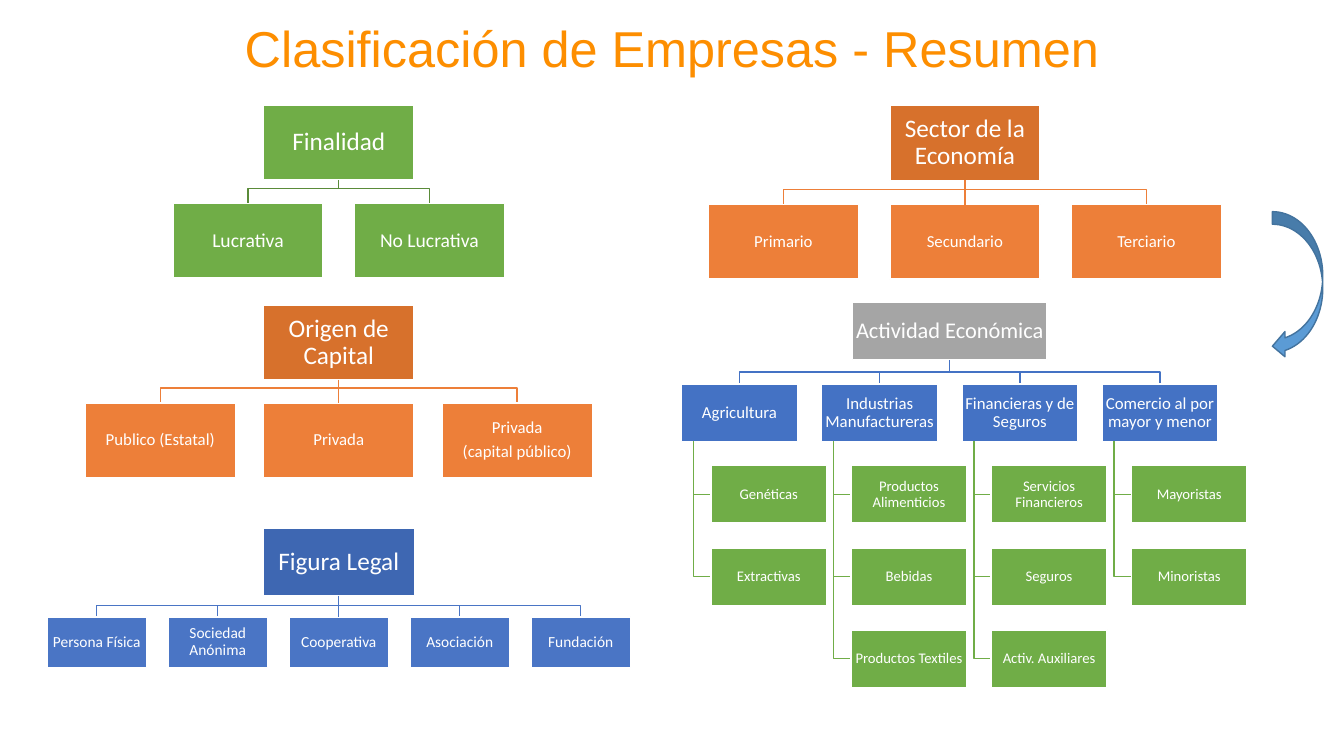
from dataclasses import dataclass

from lxml.etree import SubElement
from pptx import Presentation
from pptx.dml.color import RGBColor
from pptx.enum.shapes import MSO_CONNECTOR, MSO_SHAPE
from pptx.enum.text import MSO_ANCHOR, MSO_AUTO_SIZE, PP_ALIGN
from pptx.oxml.ns import qn
from pptx.shapes.autoshape import Shape
from pptx.shapes.shapetree import GroupShapes
from pptx.util import Inches, Pt

COLORS = {
    "title": "FD8E00",
    "white": "FFFFFF",
    "green": "70AD47",
    "dark green": "5A8B39",
    "orange": "ED7F39",
    "dark orange": "D7712C",
    "blue": "4A75C5",
    "dark blue": "3E67B2",
    "activity blue": "4472C4",
    "gray": "A5A5A5",
    "arrow": "5B9BD5",
    "arrow edge": "43739E",
}


@dataclass
class Style:
    width: float
    height: float
    fill: str
    size: float


@dataclass
class Tree:
    root: str
    center: float
    top: float
    root_style: Style
    children: list[str]
    children_top: float
    pitch: float
    child_style: Style
    bend: float  # distance from the root down to the crossbar
    line: str

    @property
    def bottom(self) -> float:
        return self.top + self.root_style.height

    def child_centers(self) -> list[float]:
        middle = (len(self.children) - 1) / 2
        return [self.center + (i - middle) * self.pitch
                for i in range(len(self.children))]


LEAF = Style(1.15, 0.57, "green", 10.5)
LEAF_TOP, LEAF_PITCH = 4.62, 0.815
LEAF_INDENT, SPINE_INDENT = 0.29, 0.12

ACTIVITIES = {
    "Agricultura": ["Genéticas", "Extractivas"],
    "Industrias Manufactureras":
        ["Productos Alimenticios", "Bebidas", "Productos Textiles"],
    "Financieras y de Seguros":
        ["Servicios Financieros", "Seguros", "Activ. Auxiliares"],
    "Comercio al por mayor y menor": ["Mayoristas", "Minoristas"],
}

TREES = [
    Tree("Finalidad", 3.36, 1.04, Style(1.49, 0.74, "green", 18),
         ["Lucrativa", "No Lucrativa"],
         2.02, 1.8, Style(1.49, 0.74, "green", 14), 0.09, "dark green"),
    Tree("Actividad Económica", 9.42, 3, Style(1.93, 0.57, "gray", 16),
         list(ACTIVITIES),
         3.81, 1.39, Style(1.15, 0.57, "activity blue", 12), 0.12,
         "activity blue"),
    Tree("Origen de Capital", 3.36, 3.03, Style(1.49, 0.74, "dark orange", 18),
         ["Publico (Estatal)", "Privada", "Privada\n(capital público)"],
         4, 1.77, Style(1.49, 0.74, "orange", 12), 0.08, "orange"),
    Tree("Sector de la Economía", 9.57, 1.05,
         Style(1.49, 0.74, "dark orange", 18),
         ["Primario", "Secundario", "Terciario"],
         2.03, 1.8, Style(1.49, 0.74, "orange", 12), 0.09, "orange"),
    Tree("Figura Legal", 3.36, 5.24, Style(1.5, 0.67, "dark blue", 18),
         ["Persona Física", "Sociedad Anónima", "Cooperativa", "Asociación",
          "Fundación"],
         6.12, 1.2, Style(0.99, 0.5, "blue", 11), 0.1, "blue"),
]


def rgb(name: str) -> RGBColor:
    return RGBColor.from_string(COLORS[name])


def paint(shape: Shape, fill: str, line: str) -> None:
    shape.shadow.inherit = False
    shape.fill.solid()
    shape.fill.fore_color.rgb = rgb(fill)
    shape.line.color.rgb = rgb(line)
    shape.line.width = Pt(1)


def format_text(shape: Shape, font: str, size: float, color: str,
                inset: float, space_after: float) -> None:
    frame = shape.text_frame
    frame.word_wrap = True
    frame.auto_size = MSO_AUTO_SIZE.NONE
    frame.vertical_anchor = MSO_ANCHOR.MIDDLE
    frame.margin_left = frame.margin_right = Inches(inset)
    frame.margin_top = frame.margin_bottom = Inches(inset)
    for paragraph in frame.paragraphs:
        paragraph.alignment = PP_ALIGN.CENTER
        paragraph.line_spacing = 0.9
        paragraph.space_after = Pt(space_after)
        for run in paragraph.runs:
            run.font.name = font
            run.font.size = Pt(size)
            run.font.color.rgb = rgb(color)


def add_box(shapes: GroupShapes, text: str, center: float, top: float,
            style: Style) -> Shape:
    box = shapes.add_shape(
        MSO_SHAPE.RECTANGLE, Inches(center - style.width / 2), Inches(top),
        Inches(style.width), Inches(style.height))
    paint(box, style.fill, "white")
    box.text_frame.text = text
    format_text(box, "Calibri", style.size, "white", 0.01, 0.35 * style.size)
    return box


def add_branch(shapes: GroupShapes, points: list[tuple[float, float]],
               color: str) -> None:
    start, *rest = [(Inches(x), Inches(y)) for x, y in points]
    builder = shapes.build_freeform(*start)
    builder.add_line_segments(rest, close=False)
    branch = builder.convert_to_shape()
    branch.shadow.inherit = False
    branch.fill.background()
    branch.line.color.rgb = rgb(color)
    branch.line.width = Pt(1)


def add_stem(shapes: GroupShapes, root: Shape, child: Shape,
             color: str) -> None:
    stem = shapes.add_connector(MSO_CONNECTOR.STRAIGHT, 0, 0, 0, 0)
    stem.begin_connect(root, 2)
    stem.end_connect(child, 0)
    stem.line.color.rgb = rgb(color)
    stem.line.width = Pt(1)
    SubElement(stem._element.spPr, qn("a:effectLst"))


def add_tree(shapes: GroupShapes, tree: Tree) -> None:
    centers = tree.child_centers()
    crossbar = tree.bottom + tree.bend
    for x in centers:
        if abs(x - tree.center) > 0.01:
            add_branch(shapes, [(tree.center, tree.bottom),
                                (tree.center, crossbar), (x, crossbar),
                                (x, tree.children_top)], tree.line)
    root = add_box(shapes, tree.root, tree.center, tree.top, tree.root_style)
    for label, x in zip(tree.children, centers):
        child = add_box(shapes, label, x, tree.children_top, tree.child_style)
        if abs(x - tree.center) <= 0.01:
            add_stem(shapes, root, child, tree.line)
        add_leaves(shapes, ACTIVITIES.get(label, []), x,
                   tree.children_top + tree.child_style.height)


def add_leaves(shapes: GroupShapes, labels: list[str], center: float,
               start: float) -> None:
    left = center - LEAF.width / 2
    spine = left + SPINE_INDENT
    for i, label in enumerate(labels):
        top = LEAF_TOP + i * LEAF_PITCH
        middle = top + LEAF.height / 2
        add_branch(shapes, [(spine, start), (spine, middle),
                            (left + LEAF_INDENT, middle)], LEAF.fill)
        add_box(shapes, label, center + LEAF_INDENT, top, LEAF)


def main() -> None:
    deck = Presentation()
    deck.slide_width, deck.slide_height = Inches(13.33), Inches(7.5)
    slide = deck.slides.add_slide(deck.slide_layouts[5])

    # Title
    title = slide.shapes.title
    title.left, title.top = Inches(1.32), Inches(0.21)
    title.width, title.height = Inches(10.69), Inches(0.6)
    title.text_frame.text = "Clasificación de Empresas - Resumen"
    format_text(title, "Arial", 36, "title", 0.08, 0)

    # Classification trees
    for tree in TREES:
        add_tree(slide.shapes.add_group_shape().shapes, tree)

    # Arrow from the sectors to the activities
    arrow = slide.shapes.add_shape(
        MSO_SHAPE.CURVED_LEFT_ARROW, Inches(12.62), Inches(2.1),
        Inches(0.5), Inches(1.46))
    paint(arrow, "arrow", "arrow edge")

    deck.save("out.pptx")


if __name__ == "__main__":
    main()
